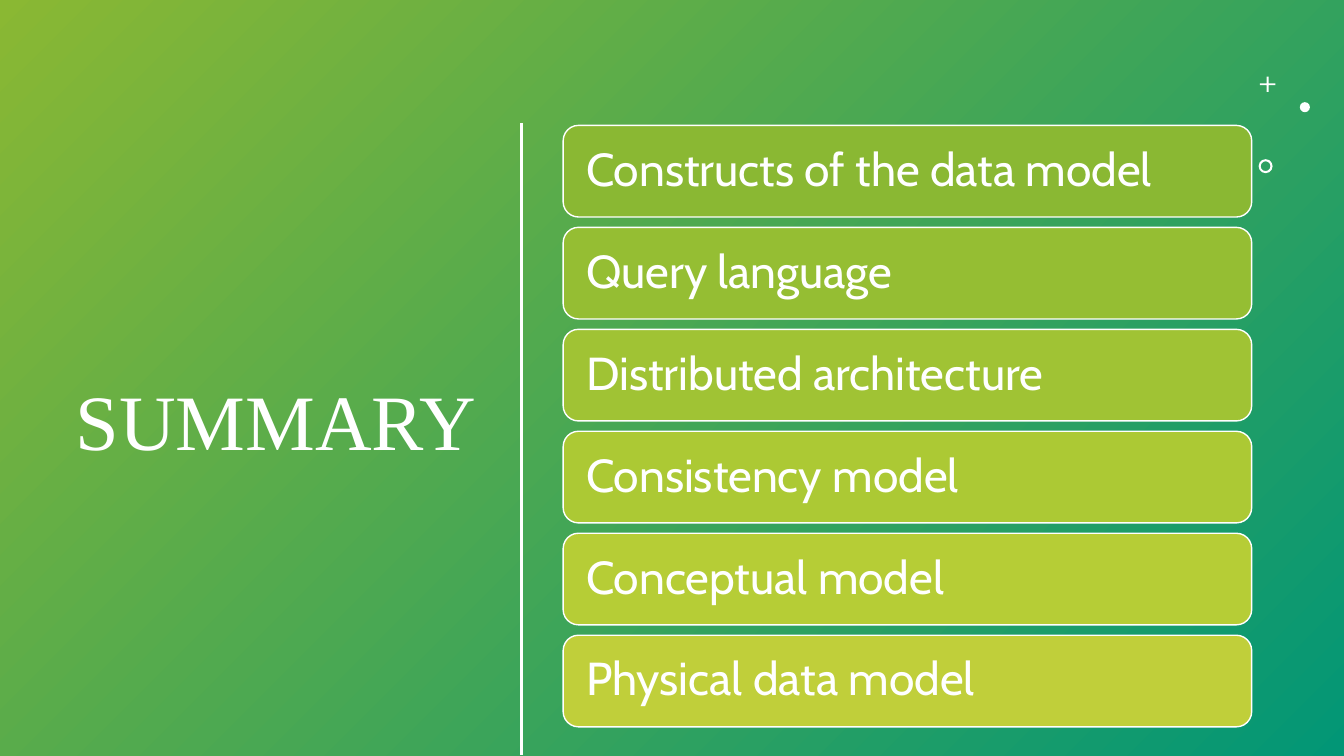
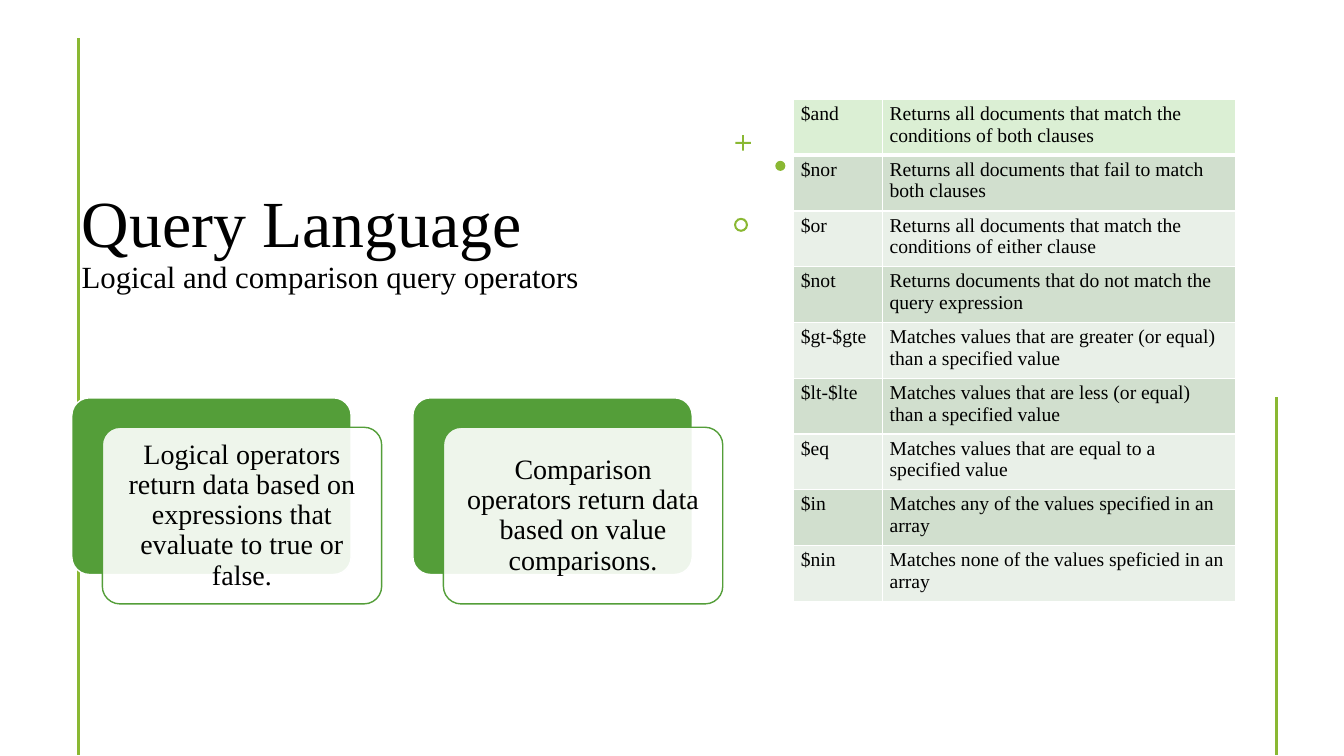
from collections import namedtuple

from lxml.etree import SubElement
from pptx import Presentation
from pptx.dml.color import RGBColor
from pptx.enum.shapes import MSO_CONNECTOR as Connector, MSO_SHAPE as Preset
from pptx.enum.text import MSO_ANCHOR as Anchor, MSO_AUTO_SIZE as AutoSize, PP_ALIGN as Align
from pptx.oxml.ns import qn
from pptx.util import Pt

WHITE = RGBColor(0xFF, 0xFF, 0xFF)
BLACK = RGBColor(0x00, 0x00, 0x00)
LIME = RGBColor(0x8A, 0xB8, 0x33)
TEAL = RGBColor(0x02, 0x96, 0x76)
GREEN = RGBColor(0x54, 0x9E, 0x39)
TOP_ROW = RGBColor(0xDB, 0xEF, 0xD4)
ODD_ROW = RGBColor(0xD1, 0xDF, 0xCE)
EVEN_ROW = RGBColor(0xE9, 0xF0, 0xE8)
TOPIC_FILLS = [
    LIME,
    RGBColor(0x95, 0xBE, 0x33),
    RGBColor(0xA0, 0xC3, 0x34),
    RGBColor(0xAC, 0xC9, 0x34),
    RGBColor(0xB6, 0xCD, 0x36),
    RGBColor(0xC0, 0xCF, 0x3A),
]
SERIF = "Times New Roman"
SANS = "Cabin"
PAGE_WIDTH, PAGE_HEIGHT = 960, 540
LINE_END = 539.3
TITLE_ONLY = 5

Box = namedtuple("Box", "left top width height")

TOPICS = [
    "Constructs of the data model",
    "Query language",
    "Distributed architecture",
    "Consistency model",
    "Conceptual model",
    "Physical data model",
]
CARDS = [
    "Logical operators return data based on expressions that evaluate to true or false.",
    "Comparison operators return data based on value comparisons.",
]
OPERATORS = [
    ("$and", "Returns all documents that match the conditions of both clauses"),
    ("$nor", "Returns all documents that fail to match both clauses"),
    ("$or", "Returns all documents that match the conditions of either clause"),
    ("$not", "Returns documents that do not match the query expression"),
    ("$gt-$gte", "Matches values that are greater (or equal) than a specified value"),
    ("$lt-$lte", "Matches values that are less (or equal) than a specified value"),
    ("$eq", "Matches values that are equal to a specified value"),
    ("$in", "Matches any of the values specified in an array"),
    ("$nin", "Matches none of the values speficied in an array"),
]


def points(box):
    return [Pt(length) for length in box]


def write(frame, text, *, sizes, color=BLACK, font=SERIF, align=Align.LEFT,
          anchor=Anchor.MIDDLE, spacing=0.9, inset=None):
    frame.word_wrap = True
    frame.vertical_anchor = anchor
    if inset is not None:
        frame.margin_left = frame.margin_right = Pt(inset)
        frame.margin_top = frame.margin_bottom = Pt(inset / 2)
    para = frame.paragraphs[0]
    para.alignment = align
    para.line_spacing = spacing
    for index, (line, size) in enumerate(zip(text.split("\n"), sizes)):
        if index:
            para.add_line_break()
        span = para.add_run()
        span.text = line
        span.font.size = Pt(size)
        span.font.name = font
        span.font.color.rgb = color


def add_preset(page, preset, box, fill, line=None, adjust=None):
    shape = page.shapes.add_shape(preset, *points(box))
    shape.shadow.inherit = False
    shape.fill.solid()
    shape.fill.fore_color.rgb = fill
    if line is None:
        shape.line.fill.background()
    else:
        shape.line.color.rgb = line
        shape.line.width = Pt(1)
    if adjust is not None:
        shape.adjustments[0] = adjust
    return shape


def add_rule(page, left, top, color):
    rule = page.shapes.add_connector(
        Connector.STRAIGHT, Pt(left), Pt(top), Pt(left), Pt(LINE_END))
    rule.line.color.rgb = color
    rule.line.width = Pt(2)
    SubElement(rule.element.spPr, qn("a:effectLst"))


def add_sparkles(page, left, top, color):
    add_preset(page, Preset.CROSS, Box(left, top, 11, 11), color, adjust=0.44)
    add_preset(page, Preset.OVAL, Box(left + 28.5, top + 18.3, 7.2, 7.2), color)
    add_preset(page, Preset.DONUT, Box(left - 1, top + 59, 10, 10), color, adjust=0.15)


def set_title(page, box, text, **style):
    title = page.shapes.title
    title.left, title.top, title.width, title.height = points(box)
    title.text_frame.auto_size = AutoSize.NONE
    write(title.text_frame, text, **style)


def add_gradient(page, box):
    panel = add_preset(page, Preset.RECTANGLE, box, LIME)
    panel.fill.gradient()
    panel.fill.gradient_angle = 315
    for stop, color, position in zip(panel.fill.gradient_stops, (LIME, TEAL), (0, 1)):
        stop.color.rgb = color
        stop.position = position
    page.shapes.element.insert(2, panel.element)


def add_topics(page, box):
    gap = 7.4
    height = (box.height + gap) / len(TOPICS) - gap
    for index, (topic, fill) in enumerate(zip(TOPICS, TOPIC_FILLS)):
        place = Box(box.left, box.top + index * (height + gap), box.width, height)
        bar = add_preset(page, Preset.ROUNDED_RECTANGLE, place, fill, WHITE)
        write(bar.text_frame, topic, sizes=[33], color=WHITE, font=SANS, inset=13.2)


def add_cards(page, box):
    shift_x, shift_y, gap = 21.8, 21, 22.3
    pitch = (box.width + gap) / len(CARDS)
    width, height = pitch - gap - shift_x, box.height - shift_y
    for index, text in enumerate(CARDS):
        back = Box(box.left + index * pitch, box.top, width, height)
        front = Box(back.left + shift_x, back.top + shift_y, width, height)
        add_preset(page, Preset.ROUNDED_RECTANGLE, back, GREEN, WHITE, 0.1)
        card = add_preset(page, Preset.ROUNDED_RECTANGLE, front, WHITE, GREEN, 0.1)
        tint = next(card.element.spPr.iter(qn("a:srgbClr")))
        SubElement(tint, qn("a:alpha"), val="90000")
        write(card.text_frame, text, sizes=[20], align=Align.CENTER, inset=9.4)


def set_borders(cell, widths):
    props = cell._tc.get_or_add_tcPr()
    for index, (side, width) in enumerate(widths.items()):
        border = SubElement(props, qn(f"a:ln{side}"), w=str(Pt(width)))
        fill = SubElement(border, qn("a:solidFill"))
        SubElement(fill, qn("a:srgbClr"), val=str(WHITE))
        props.insert(index, border)


def add_operators(page, box):
    grid = page.shapes.add_table(len(OPERATORS), 2, *points(box)).table
    grid.first_row = grid.horz_banding = False
    name_width = 63.4
    grid.columns[0].width = Pt(name_width)
    grid.columns[1].width = Pt(box.width - name_width)
    for row, texts in enumerate(OPERATORS):
        grid.rows[row].height = Pt(box.height / len(OPERATORS))
        fill = TOP_ROW if row == 0 else (EVEN_ROW, ODD_ROW)[row % 2]
        widths = {"L": 1, "R": 1, "T": 3 if row == 1 else 1, "B": 3 if row == 0 else 1}
        for column, text in enumerate(texts):
            cell = grid.cell(row, column)
            cell.fill.solid()
            cell.fill.fore_color.rgb = fill
            cell.margin_left = cell.margin_right = Pt(5.3)
            cell.margin_top = cell.margin_bottom = Pt(2.65)
            write(cell.text_frame, text, sizes=[14], anchor=Anchor.TOP, spacing=1.0)
            set_borders(cell, widths)


def build_summary(deck):
    page = deck.slides.add_slide(deck.slide_layouts[TITLE_ONLY])
    add_gradient(page, Box(0, 0, PAGE_WIDTH, PAGE_HEIGHT))
    set_title(page, Box(37.4, 83.5, 310.3, 440), "SUMMARY",
              sizes=[56], color=WHITE, align=Align.RIGHT)
    add_sparkles(page, 900, 54.7, WHITE)
    add_rule(page, 372.3, 88.2, WHITE)
    add_topics(page, Box(402.3, 89.6, 491.8, 429.6))


def build_query_language(deck):
    page = deck.slides.add_slide(deck.slide_layouts[TITLE_ONLY])
    add_rule(page, 56.2, 27.5, LIME)
    set_title(page, Box(51.1, 30.2, 465.1, 184.3),
              "Query Language\nLogical and comparison query operators",
              sizes=[47, 22], anchor=Anchor.BOTTOM)
    add_sparkles(page, 525.3, 96.6, LIME)
    add_cards(page, Box(51.3, 284.2, 465, 147.2))
    add_rule(page, 911.6, 283.8, LIME)
    add_operators(page, Box(566.8, 71, 316, 358.6))


def main():
    deck = Presentation()
    deck.slide_width, deck.slide_height = Pt(PAGE_WIDTH), Pt(PAGE_HEIGHT)
    build_summary(deck)
    build_query_language(deck)
    deck.save("out.pptx")


if __name__ == "__main__":
    main()
